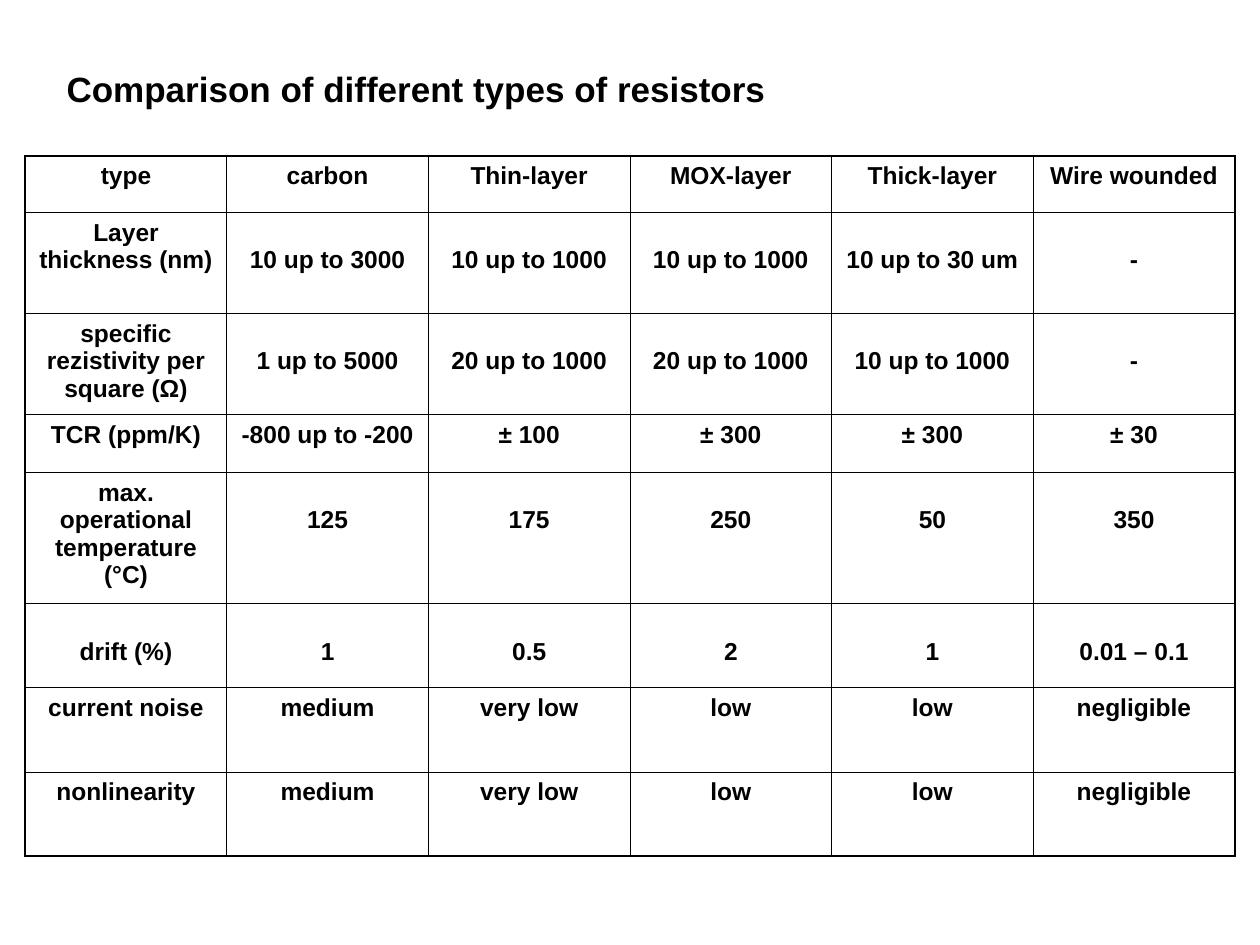
"""Build a slide that compares types of resistors in a bordered table."""
from dataclasses import dataclass

from lxml import etree
from pptx import Presentation
from pptx import util as u
from pptx.dml.color import RGBColor
from pptx.enum import text
from pptx.oxml import ns
from pptx.table import _Cell
from pptx.text.text import TextFrame

BLACK = RGBColor(0, 0, 0)
PAGE_WIDTH, PAGE_HEIGHT = u.Inches(10), u.Inches(7.5)
COLUMN_WIDTH = 16
TEXT_LINE = u.Inches(0.22)
MARGIN = u.Inches(0.05)
OUTER_LINE, INNER_LINE = u.Pt(1.08), u.Pt(0.45)


@dataclass(frozen=True)
class Row:
    """A table row: height in percent of the page, and lines its text is lowered by."""

    height: float
    label: str
    values: tuple[str, ...]
    label_drop: int = 0
    value_drop: int = 0


ROWS = (
    Row(6, "type", ("carbon", "Thin-layer", "MOX-layer", "Thick-layer", "Wire wounded")),
    Row(10.7, "Layer thickness (nm)",
        ("10 up to 3000", "10 up to 1000", "10 up to 1000", "10 up to 30 um", "-"), value_drop=1),
    Row(10.7, "specific rezistivity per square (Ω)",
        ("1 up to 5000", "20 up to 1000", "20 up to 1000", "10 up to 1000", "-"), value_drop=1),
    Row(6.1, "TCR (ppm/K)", ("-800 up to -200", "± 100", "± 300", "± 300", "± 30")),
    Row(13.9, "max. operational temperature (°C)",
        ("125", "175", "250", "50", "350"), value_drop=1),
    Row(8.9, "drift (%)", ("1", "0.5", "2", "1", "0.01 – 0.1"), label_drop=1, value_drop=1),
    Row(8.9, "current noise", ("medium", "very low", "low", "low", "negligible")),
    Row(8.9, "nonlinearity", ("medium", "very low", "low", "low", "negligible")),
)


def across(percent: float) -> u.Emu:
    """Return a share of the page width."""
    return u.Emu(round(PAGE_WIDTH * percent / 100))


def down(percent: float) -> u.Emu:
    """Return a share of the page height."""
    return u.Emu(round(PAGE_HEIGHT * percent / 100))


def write(frame: TextFrame, words: str, size: int, alignment: text.PP_ALIGN) -> None:
    """Write one bold paragraph into a text frame."""
    para = frame.paragraphs[0]
    para.alignment = alignment
    span = para.add_run()
    span.text = words
    for name, value in {"name": "Arial", "size": u.Pt(size), "bold": True}.items():
        setattr(span.font, name, value)
    span.font.color.rgb = BLACK


def draw_borders(cell: _Cell, outer: dict[str, bool]) -> None:
    """Draw the four cell borders, heavier on the outside of the table."""
    properties = cell._tc.get_or_add_tcPr()
    for side, is_outer in outer.items():
        width = OUTER_LINE if is_outer else INNER_LINE
        line = etree.SubElement(properties, ns.qn(f"a:ln{side}"), w=str(int(width)))
        fill = etree.SubElement(line, ns.qn("a:solidFill"))
        etree.SubElement(fill, ns.qn("a:srgbClr"), val=str(BLACK))


def fill_cell(cell: _Cell, words: str, drop: int, outer: dict[str, bool]) -> None:
    """Write, place and border one table cell."""
    write(cell.text_frame, words, 14, text.PP_ALIGN.CENTER)
    cell.margin_top = MARGIN + drop * TEXT_LINE
    draw_borders(cell, outer)
    cell.fill.background()


def main() -> None:
    """Build and save the deck."""
    deck = Presentation()
    deck.slide_width, deck.slide_height = PAGE_WIDTH, PAGE_HEIGHT
    page = deck.slides.add_slide(deck.slide_layouts[6])

    box = page.shapes.add_textbox(across(4.3), down(6.4), across(58.3), down(5.9))
    box.text_frame.word_wrap = True
    box.text_frame.vertical_anchor = text.MSO_ANCHOR.BOTTOM
    write(box.text_frame, "Comparison of different types of resistors", 20, text.PP_ALIGN.LEFT)

    columns = 1 + len(ROWS[0].values)
    table = page.shapes.add_table(
        len(ROWS), columns, across(2), down(16.5),
        across(columns * COLUMN_WIDTH), down(sum(row.height for row in ROWS)),
    ).table
    table.first_row = table.horz_banding = False
    for column in table.columns:
        column.width = across(COLUMN_WIDTH)
    for y, row in enumerate(ROWS):
        table.rows[y].height = down(row.height)
        for x, words in enumerate((row.label, *row.values)):
            outer = {"L": x == 0, "R": x == columns - 1, "T": y == 0, "B": y == len(ROWS) - 1}
            fill_cell(table.cell(y, x), words, row.value_drop if x else row.label_drop, outer)

    deck.save("out.pptx")


if __name__ == "__main__":
    main()
